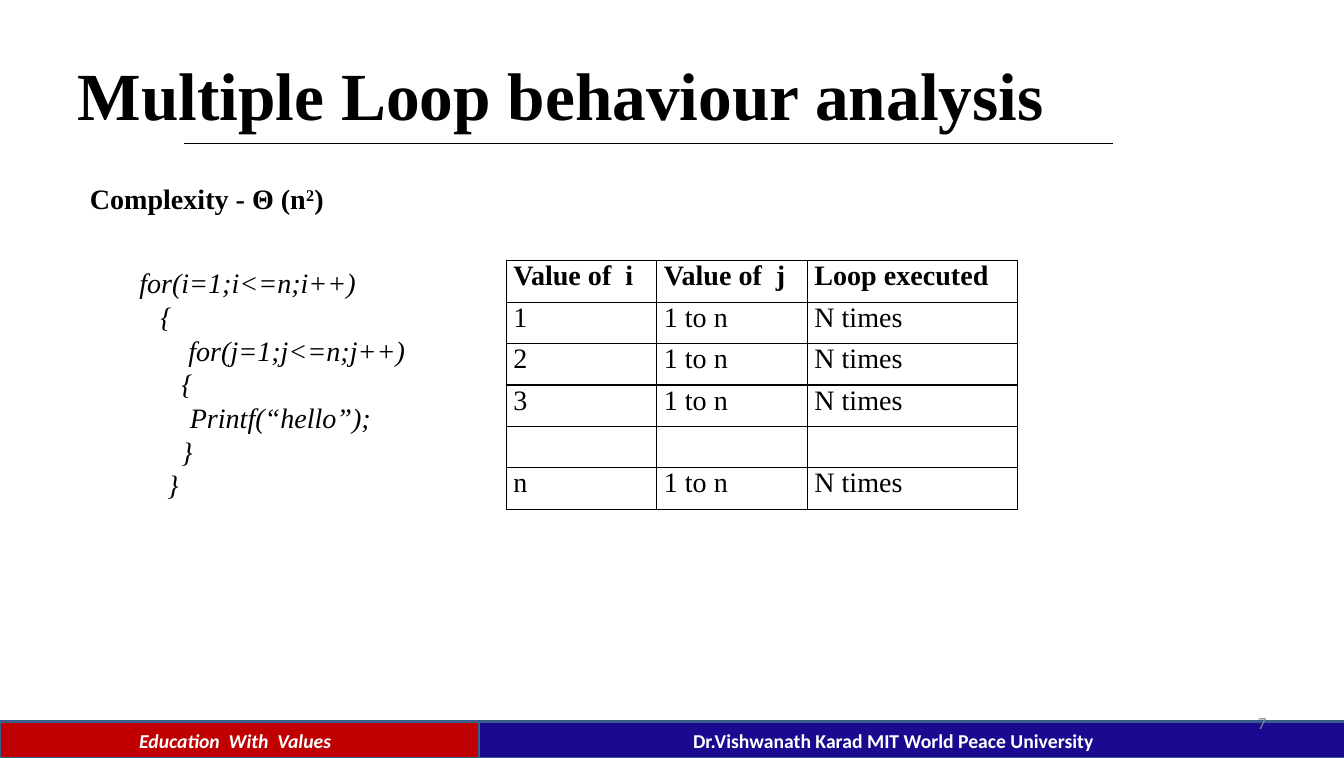
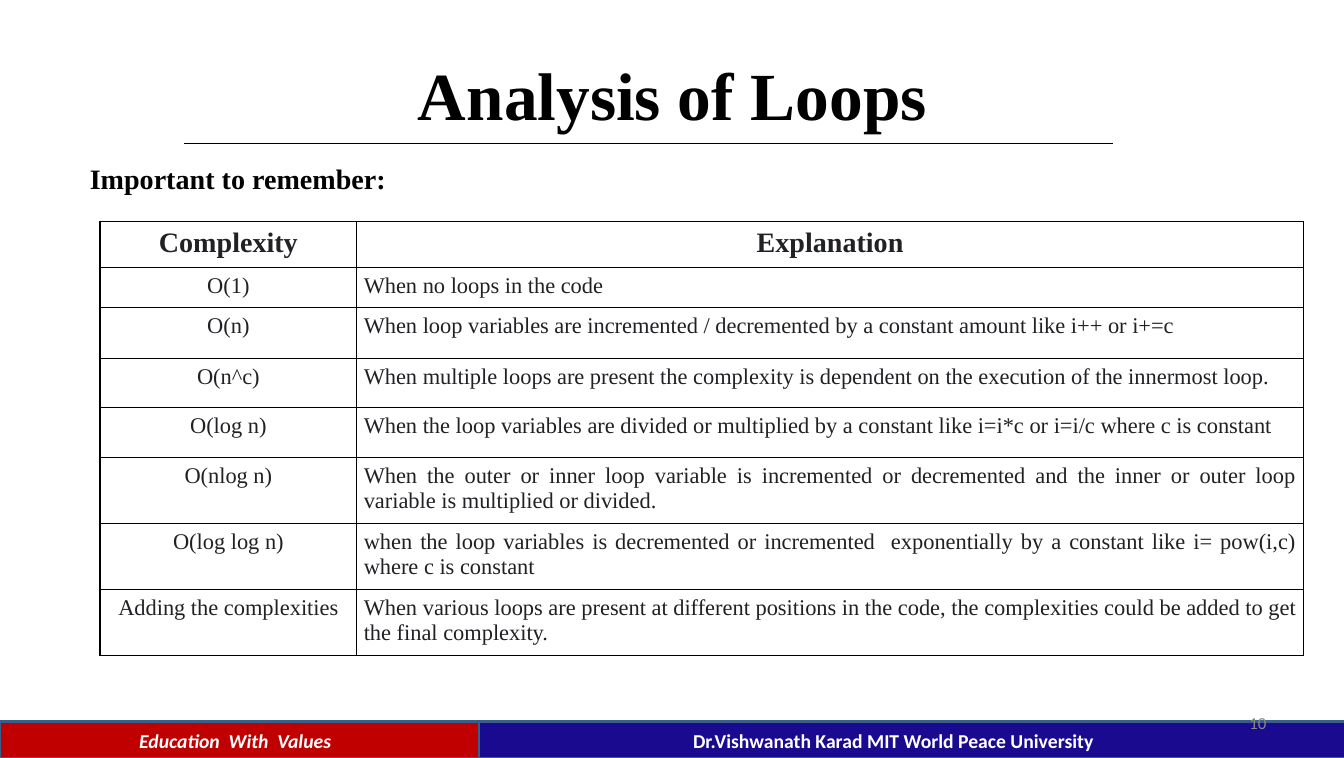
from dataclasses import dataclass

from lxml import etree
from pptx import Presentation
from pptx import util as u
from pptx.dml.color import RGBColor
from pptx.enum import shapes, text
from pptx.oxml import ns

PX = 9144  # 100 px to the inch
ALIGN = text.PP_ALIGN


@dataclass(frozen=True)
class Theme:
    serif: str = "Times New Roman"
    sans: str = "Calibri"
    black: str = "000000"
    ink: str = "202124"
    white: str = "FFFFFF"
    grey: str = "888888"
    red: str = "C00000"
    navy: str = "1A0A90"
    band_edge: str = "395E89"
    title: int = 48
    body: int = 20
    small: int = 16
    footer: int = 14
    number: int = 12


THEME = Theme()

LOOP_CODE = [
    "for(i=1;i<=n;i++)",
    "   {",
    "       for(j=1;j<=n;j++)",
    "      {",
    "\tPrintf(“hello”);",
    "      }",
    "    }",
]
LOOP_ROWS = [
    ("Value of  i", "Value of  j", "Loop executed"),
    ("1", "1 to n", "N times"),
    ("2", "1 to n", "N times"),
    ("3", "1 to n", "N times"),
    ("", "", ""),
    ("n", "1 to n", "N times"),
]
COMPLEXITY_ROWS = [
    ("Complexity", "Explanation"),
    ("O(1)", "When no loops in the code"),
    ("O(n)", "When loop variables are incremented / decremented by a constant amount like i++ or i+=c"),
    ("O(n^c)", "When multiple loops are present the complexity is dependent on the execution "
               "of the innermost loop. "),
    ("O(log n)", "When the loop variables are divided or multiplied by a constant like i=i*c or i=i/c "
                 "where c is constant"),
    ("O(nlog n)", "When the outer or inner loop variable is incremented or decremented and the inner "
                  "or outer loop variable is multiplied or divided."),
    ("O(log log n)", "when the loop variables is decremented or incremented  exponentially by a constant "
                     "like i= pow(i,c) where c is constant"),
    ("Adding the complexities", "When various loops are present at different positions in the code, the "
                                "complexities could be added to get the final complexity."),
]


def px(*lengths):
    return [u.Emu(length * PX) for length in lengths]


def colour(code):
    return RGBColor.from_string(code)


def write(paragraph, words, size=THEME.body, font=THEME.serif, color=THEME.black,
          bold=False, italic=False, align=None, superscript=False):
    """Append one formatted run to the paragraph."""
    if align is not None:
        paragraph.alignment = align
    run = paragraph.add_run()
    run.text = words
    run.font.size = u.Pt(size)
    run.font.name = font
    run.font.color.rgb = colour(color)
    run.font.bold = bold
    run.font.italic = italic
    if superscript:
        run.font._element.set("baseline", "30000")


def add_text(slide, box, words, wrap=True, anchor=text.MSO_ANCHOR.TOP, **style):
    frame = slide.shapes.add_textbox(*px(*box)).text_frame
    frame.word_wrap = wrap
    frame.vertical_anchor = anchor
    write(frame.paragraphs[0], words, **style)
    return frame


def indent(paragraph, length=12):
    paragraph._p.get_or_add_pPr().set("marL", str(length * PX))


def add_band(slide, box, fill):
    band = slide.shapes.add_shape(shapes.MSO_SHAPE.RECTANGLE, *px(*box))
    band.shadow.inherit = False
    band.fill.solid()
    band.fill.fore_color.rgb = colour(fill)
    band.line.color.rgb = colour(THEME.band_edge)
    band.line.width = u.Pt(2)


def add_footer(slide, left, top, width, height, split=474):
    add_band(slide, (left, top, width, height), THEME.red)
    add_band(slide, (left + split, top, width - split, height), THEME.navy)
    style = dict(size=THEME.footer, font=THEME.sans, color=THEME.white, bold=True, wrap=False)
    add_text(slide, (left + 128, top + 2, 213, 34), "Education  With  Values", italic=True, **style)
    add_text(slide, (left + 676, top + 2, 425, 34),
             "Dr.Vishwanath Karad MIT World Peace University", **style)


def add_title_rule(slide, left, top, width):
    rule = slide.shapes.add_connector(shapes.MSO_CONNECTOR.STRAIGHT,
                                      *px(left, top, left + width, top))
    rule.line.color.rgb = colour(THEME.black)
    rule.line.width = u.Pt(0.75)
    etree.SubElement(rule._element.spPr, ns.qn("a:effectLst"))


def add_base_slide(presentation, title, number, align):
    """Add a slide with the shared title, rule, footer and page number."""
    slide = presentation.slides.add_slide(presentation.slide_layouts[5])
    heading = slide.shapes.title
    heading.left, heading.top, heading.width, heading.height = px(67, 30, 1197, 125)
    heading.text_frame.vertical_anchor = text.MSO_ANCHOR.MIDDLE
    write(heading.text_frame.paragraphs[0], title, size=THEME.title, bold=True, align=align)
    add_title_rule(slide, 182, 142, 919)
    add_footer(slide, 0, 714, 1331, 36)
    add_text(slide, (953, 695, 310, 40), number, size=THEME.number, font=THEME.sans,
             color=THEME.grey, align=ALIGN.RIGHT, anchor=text.MSO_ANCHOR.MIDDLE)
    return slide


def add_lead(slide, box, words):
    frame = add_text(slide, box, words, bold=True)
    indent(frame.paragraphs[0])
    return frame.paragraphs[0]


def add_code(slide, box, lines):
    frame = add_text(slide, box, lines[0], italic=True)
    for line in lines[1:]:
        write(frame.add_paragraph(), line, italic=True)
    for paragraph in frame.paragraphs:
        indent(paragraph)
        paragraph.line_spacing = u.Pt(24)


def border_cell(cell):
    properties = cell._tc.get_or_add_tcPr()
    for position, side in enumerate(("lnL", "lnR", "lnT", "lnB")):
        line = etree.Element(ns.qn(f"a:{side}"), w=str(u.Pt(1)))
        fill = etree.SubElement(line, ns.qn("a:solidFill"))
        etree.SubElement(fill, ns.qn("a:srgbClr"), val=THEME.black)
        properties.insert(position, line)


def add_grid(slide, left, top, columns, heights, rows, aligns, margin_y=0,
             size=THEME.body, color=THEME.black):
    """Add a bordered table whose first row is a bold heading."""
    box = px(left, top, sum(columns), sum(heights))
    table = slide.shapes.add_table(len(rows), len(columns), *box).table
    for column, width in zip(table.columns, px(*columns)):
        column.width = width
    for row, height in zip(table.rows, px(*heights)):
        row.height = height
    for row_index, values in enumerate(rows):
        is_head = row_index == 0
        for column_index, value in enumerate(values):
            cell = table.cell(row_index, column_index)
            cell.fill.background()
            border_cell(cell)
            cell.margin_left, cell.margin_right = px(7, 7)
            cell.margin_top, cell.margin_bottom = px(margin_y, margin_y)
            paragraph = cell.text_frame.paragraphs[0]
            if value:
                write(paragraph, value, size=THEME.body if is_head else size, color=color, bold=is_head,
                      align=aligns[0] if is_head else aligns[column_index])
            else:
                paragraph.font.size = u.Pt(size)


def add_nested_loop_slide(presentation):
    slide = add_base_slide(presentation, "Multiple Loop behaviour analysis", "7", ALIGN.LEFT)
    lead = add_lead(slide, (67, 175, 1197, 45), "Complexity - Θ (n")
    write(lead, "2", bold=True, superscript=True)
    write(lead, ")", bold=True)
    add_code(slide, (116, 258, 305, 246), LOOP_CODE)
    add_grid(slide, 501, 258, [149, 149, 208], [41] * len(LOOP_ROWS), LOOP_ROWS,
             [ALIGN.JUSTIFY] * 3)


def add_complexity_slide(presentation):
    slide = add_base_slide(presentation, "Analysis of Loops", "10", ALIGN.CENTER)
    add_lead(slide, (67, 155, 1197, 45), "Important to remember:")
    add_grid(slide, 99, 219, [254, 937], [40, 40, 50, 49, 49, 64, 64, 64], COMPLEXITY_ROWS,
             [ALIGN.CENTER, ALIGN.JUSTIFY], margin_y=6, size=THEME.small, color=THEME.ink)


def main():
    presentation = Presentation()
    presentation.slide_width, presentation.slide_height = px(1330, 750)
    add_nested_loop_slide(presentation)
    add_complexity_slide(presentation)
    presentation.save("out.pptx")


if __name__ == "__main__":
    main()
